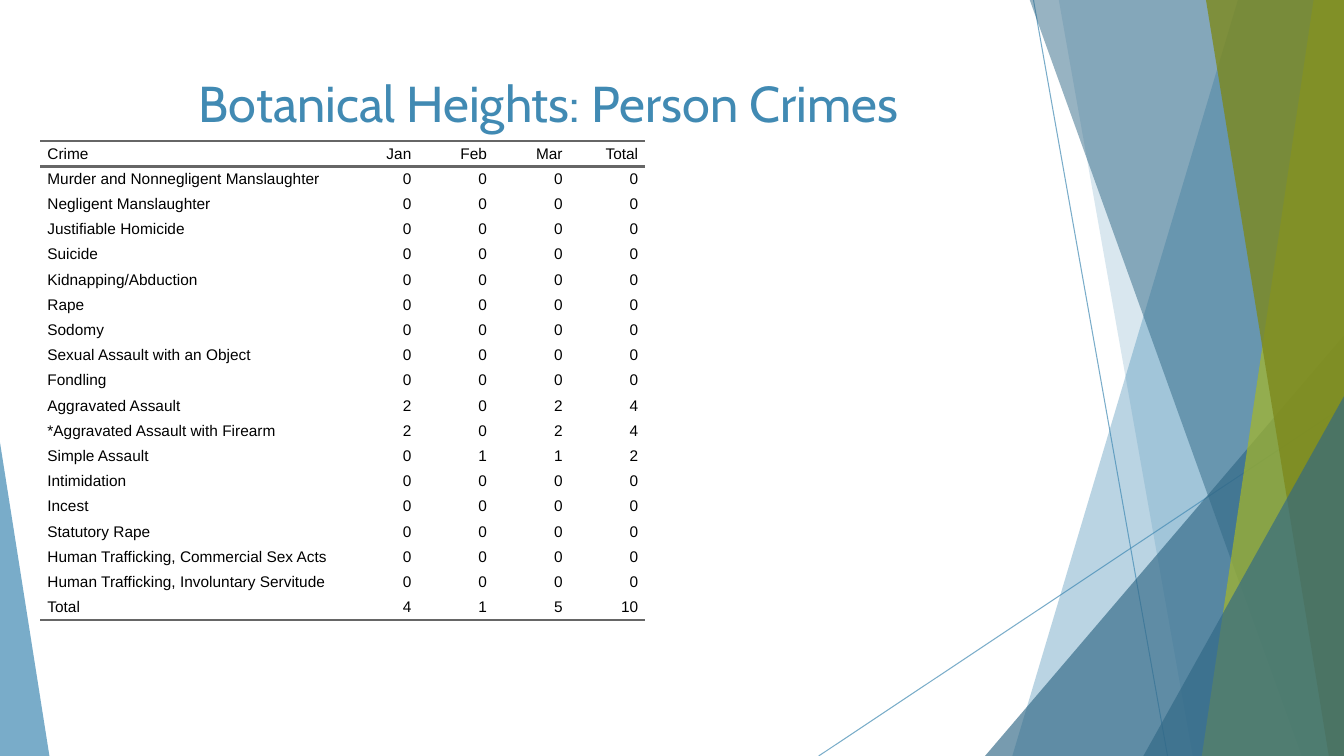
from dataclasses import dataclass

from lxml import etree
from pptx import Presentation
from pptx.dml.color import RGBColor
from pptx.enum.shapes import MSO_CONNECTOR, MSO_SHAPE
from pptx.enum.text import MSO_ANCHOR, PP_ALIGN
from pptx.oxml.ns import qn
from pptx.shapes.base import BaseShape
from pptx.slide import Slide
from pptx.table import _Cell
from pptx.util import Inches, Pt

STRAIGHT = MSO_CONNECTOR.STRAIGHT
TRIANGLE = MSO_SHAPE.ISOSCELES_TRIANGLE
TOP, MIDDLE = MSO_ANCHOR.TOP, MSO_ANCHOR.MIDDLE
LEFT, CENTER, RIGHT = PP_ALIGN.LEFT, PP_ALIGN.CENTER, PP_ALIGN.RIGHT

WIDTH, HEIGHT = 13.33, 7.5
BLEED = -0.01
NO_STYLE = "{2D5ABB26-0587-4C30-8999-92F81FD0307C}"


@dataclass(frozen=True)
class Theme:
    blue: str = "418AB3"
    deep_blue: str = "316886"
    lime: str = "A6B727"
    olive: str = "7D891D"
    rule: str = "666666"
    text: str = "000000"
    title_font: str = "Cabin"
    table_font: str = "Arial"
    title_size: float = 36
    table_size: float = 11
    rule_width: float = 2
    ray_width: float = 0.75


THEME = Theme()


@dataclass(frozen=True)
class Ray:
    x1: float
    y1: float
    x2: float
    y2: float


@dataclass(frozen=True)
class Band:
    top_x: float
    bottom_x: float
    color: str
    opacity: int


@dataclass(frozen=True)
class Wedge:
    x: float
    y: float
    w: float
    apex: float
    color: str
    opacity: int


RAYS = [Ray(10.25, 0, 11.58, HEIGHT), Ray(WIDTH, 4.03, 8.12, HEIGHT)]
FACETS = [
    Band(12.28, 10.04, THEME.blue, 36),
    Band(10.5, 11.83, THEME.blue, 20),
    Wedge(9.77, 3.33, 3.56, 1, THEME.deep_blue, 66),
    Band(10.21, 12.91, THEME.deep_blue, 50),
    Band(13.03, 11.92, THEME.lime, 70),
    Band(11.96, 13.18, THEME.olive, 80),
    Wedge(11.34, 3.93, 1.99, 1, THEME.deep_blue, 66),
    Wedge(0, 4.39, 0.49, 0, THEME.blue, 70),
]

MONTHS = ["Jan", "Feb", "Mar"]
CRIMES = [
    "Murder and Nonnegligent Manslaughter",
    "Negligent Manslaughter",
    "Justifiable Homicide",
    "Suicide",
    "Kidnapping/Abduction",
    "Rape",
    "Sodomy",
    "Sexual Assault with an Object",
    "Fondling",
    "Aggravated Assault",
    "*Aggravated Assault with Firearm",
    "Simple Assault",
    "Intimidation",
    "Incest",
    "Statutory Rape",
    "Human Trafficking, Commercial Sex Acts",
    "Human Trafficking, Involuntary Servitude",
]
REPORTED = {
    "Aggravated Assault": [2, 0, 2],
    "*Aggravated Assault with Firearm": [2, 0, 2],
    "Simple Assault": [0, 1, 1],
}
COL_WIDTHS = [3, 0.75, 0.75, 0.75, 0.75]
ROW_HEIGHT = 0.25
CELL_INDENT = 0.07


def set_opacity(shape: BaseShape, percent: int) -> None:
    color = shape.element.spPr.find(".//" + qn("a:srgbClr"))
    etree.SubElement(color, qn("a:alpha"), val=str(percent * 1000))


def paint(shape: BaseShape, color: str, opacity: int) -> None:
    shape.shadow.inherit = False
    shape.fill.solid()
    shape.fill.fore_color.rgb = RGBColor.from_string(color)
    shape.line.fill.background()
    set_opacity(shape, opacity)


def add_ray(s: Slide, ray: Ray) -> None:
    ends = [Inches(v) for v in (ray.x1, ray.y1, ray.x2, ray.y2)]
    line = s.shapes.add_connector(STRAIGHT, *ends)
    line.line.color.rgb = RGBColor.from_string(THEME.blue)
    line.line.width = Pt(THEME.ray_width)
    set_opacity(line, 70)
    etree.SubElement(line.element.spPr, qn("a:effectLst"))


def add_band(s: Slide, band: Band) -> None:
    corners = [(WIDTH, BLEED), (WIDTH, HEIGHT), (band.bottom_x, HEIGHT)]
    outline = s.shapes.build_freeform(Inches(band.top_x), Inches(BLEED))
    outline.add_line_segments([(Inches(x), Inches(y)) for x, y in corners], close=True)
    paint(outline.convert_to_shape(), band.color, band.opacity)


def add_wedge(s: Slide, wedge: Wedge) -> None:
    box = [Inches(v) for v in (wedge.x, wedge.y, wedge.w, HEIGHT - wedge.y)]
    shape = s.shapes.add_shape(TRIANGLE, *box)
    shape.adjustments[0] = wedge.apex
    paint(shape, wedge.color, wedge.opacity)


def add_rule(cell: _Cell, side: str) -> None:
    line = etree.SubElement(
        cell._tc.get_or_add_tcPr(), qn(f"a:{side}"), w=str(Pt(THEME.rule_width))
    )
    fill = etree.SubElement(line, qn("a:solidFill"))
    etree.SubElement(fill, qn("a:srgbClr"), val=THEME.rule)


def fill_cell(cell: _Cell, text: str, align: PP_ALIGN, sides: list[str]) -> None:
    cell.margin_left = cell.margin_right = cell.margin_top = cell.margin_bottom = 0
    cell.vertical_anchor = MIDDLE
    for side in sides:
        add_rule(cell, side)
    cell.fill.background()
    p = cell.text_frame.paragraphs[0]
    p.text = text
    p.alignment = align
    for margin in ("marL", "marR"):
        p._p.get_or_add_pPr().set(margin, str(Inches(CELL_INDENT)))
    font = p.runs[0].font
    font.name = THEME.table_font
    font.size = Pt(THEME.table_size)
    font.color.rgb = RGBColor.from_string(THEME.text)


def add_crime_table(s: Slide) -> None:
    counts = [REPORTED.get(crime, [0] * len(MONTHS)) for crime in CRIMES]
    counts.append([sum(month) for month in zip(*counts)])
    rows = [["Crime", *MONTHS, "Total"]]
    for name, row in zip([*CRIMES, "Total"], counts):
        rows.append([name, *map(str, row), str(sum(row))])

    frame = s.shapes.add_table(
        len(rows), len(COL_WIDTHS), Inches(0.4), Inches(1.4),
        Inches(sum(COL_WIDTHS)), Inches(ROW_HEIGHT * len(rows)),
    )
    table = frame.table
    table.first_row = table.horz_banding = False
    table._tbl.tblPr.find(qn("a:tableStyleId")).text = NO_STYLE
    for column, width in zip(table.columns, COL_WIDTHS):
        column.width = Inches(width)
    rules = {0: ["lnT", "lnB"], len(rows) - 1: ["lnB"]}
    for i, row in enumerate(rows):
        table.rows[i].height = Inches(ROW_HEIGHT)
        for j, text in enumerate(row):
            fill_cell(table.cell(i, j), text, RIGHT if j else LEFT, rules.get(i, []))


def format_title(s: Slide) -> None:
    title = s.shapes.title
    title.left, title.top = Inches(0.74), Inches(0.67)
    title.width, title.height = Inches(9.4), Inches(1.44)
    tf = title.text_frame
    tf.text = "Botanical Heights: Person Crimes"
    tf.word_wrap = True
    tf.vertical_anchor = TOP
    p = tf.paragraphs[0]
    p.alignment = CENTER
    font = p.runs[0].font
    font.name = THEME.title_font
    font.size = Pt(THEME.title_size)
    font.color.rgb = RGBColor.from_string(THEME.blue)
    s.shapes.element.append(title.element)


def main() -> None:
    prs = Presentation()
    prs.slide_width, prs.slide_height = Inches(WIDTH), Inches(HEIGHT)
    s = prs.slides.add_slide(prs.slide_layouts[5])
    for ray in RAYS:
        add_ray(s, ray)
    for facet in FACETS:
        if isinstance(facet, Band):
            add_band(s, facet)
        else:
            add_wedge(s, facet)
    add_crime_table(s)
    format_title(s)
    prs.save("out.pptx")


if __name__ == "__main__":
    main()
